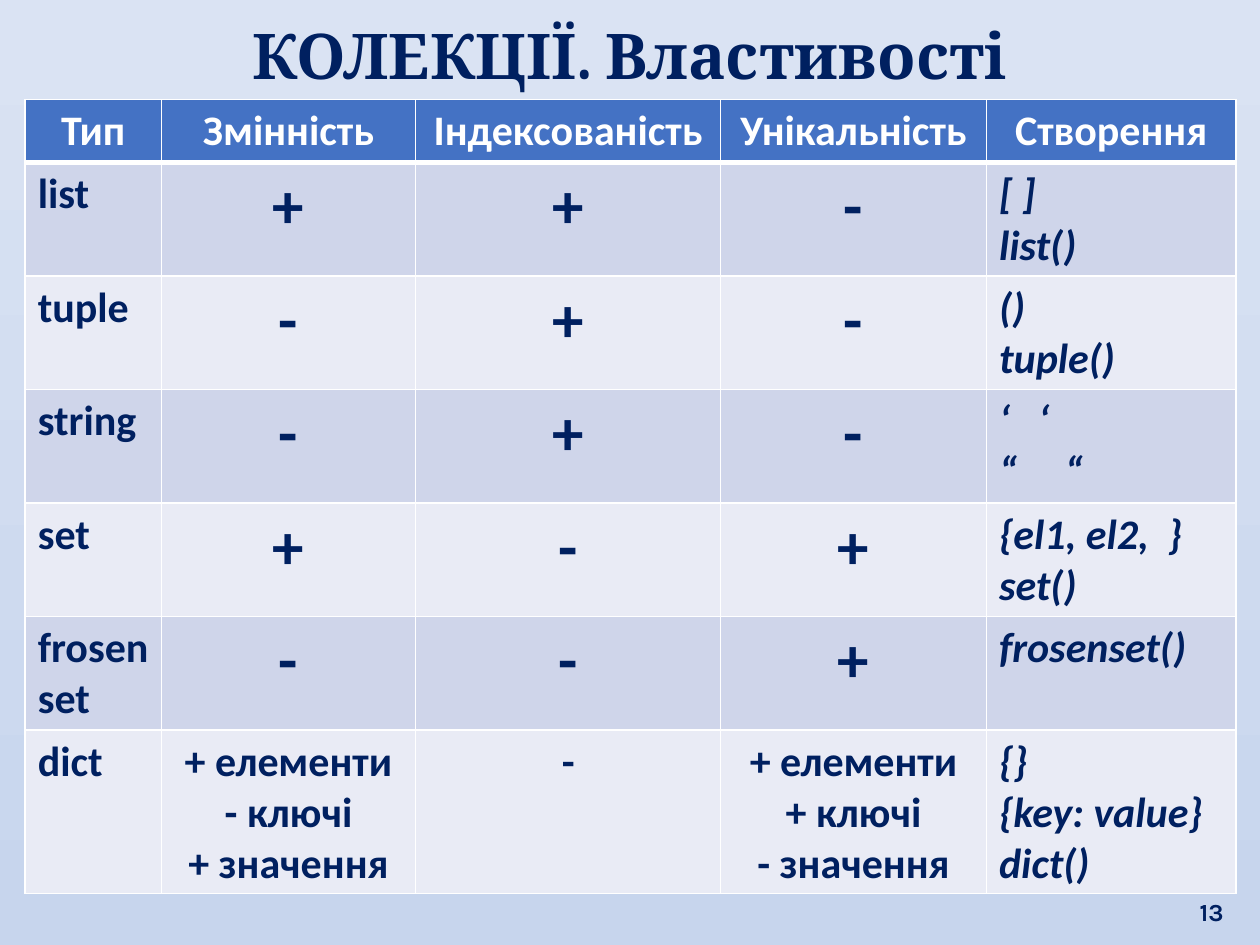
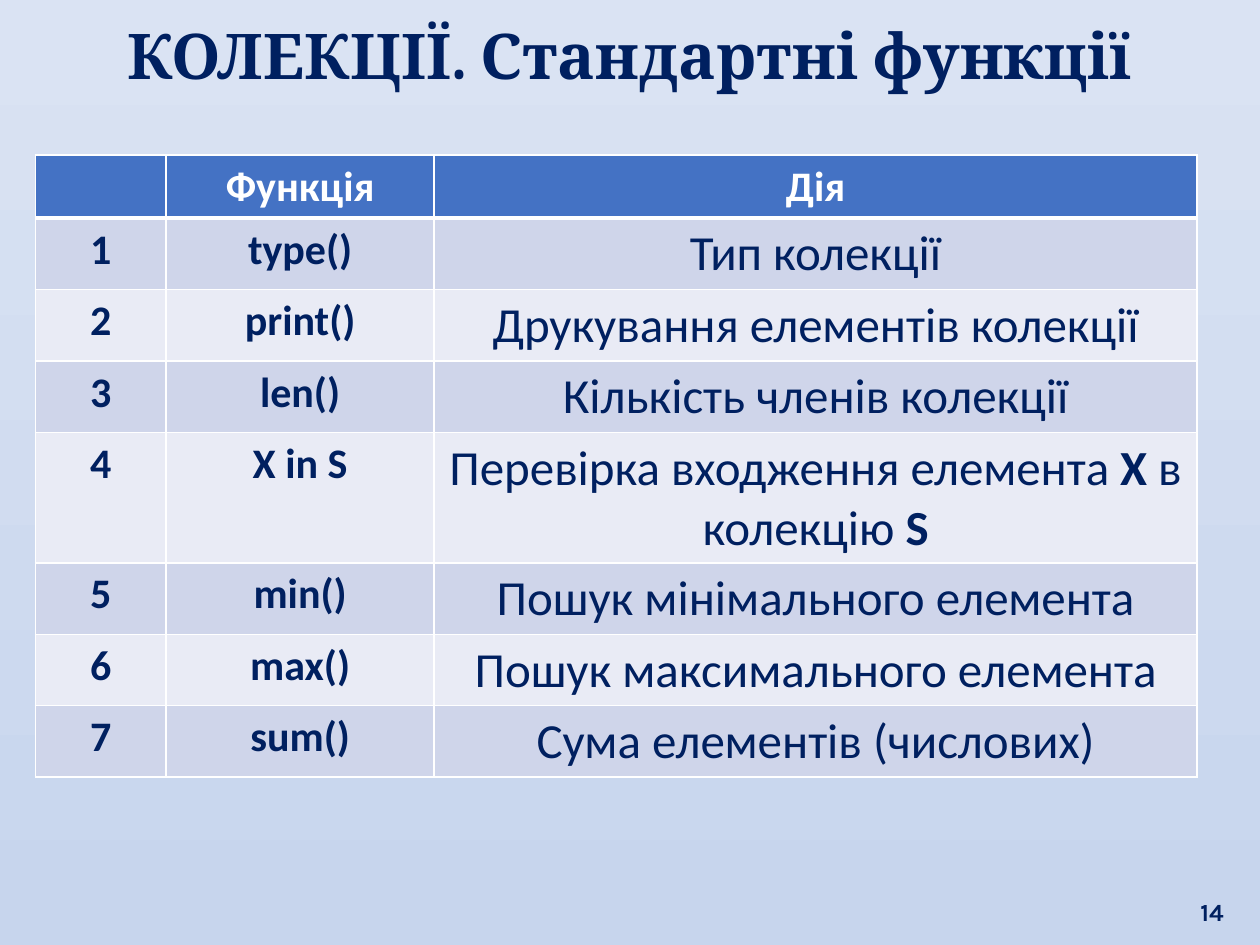
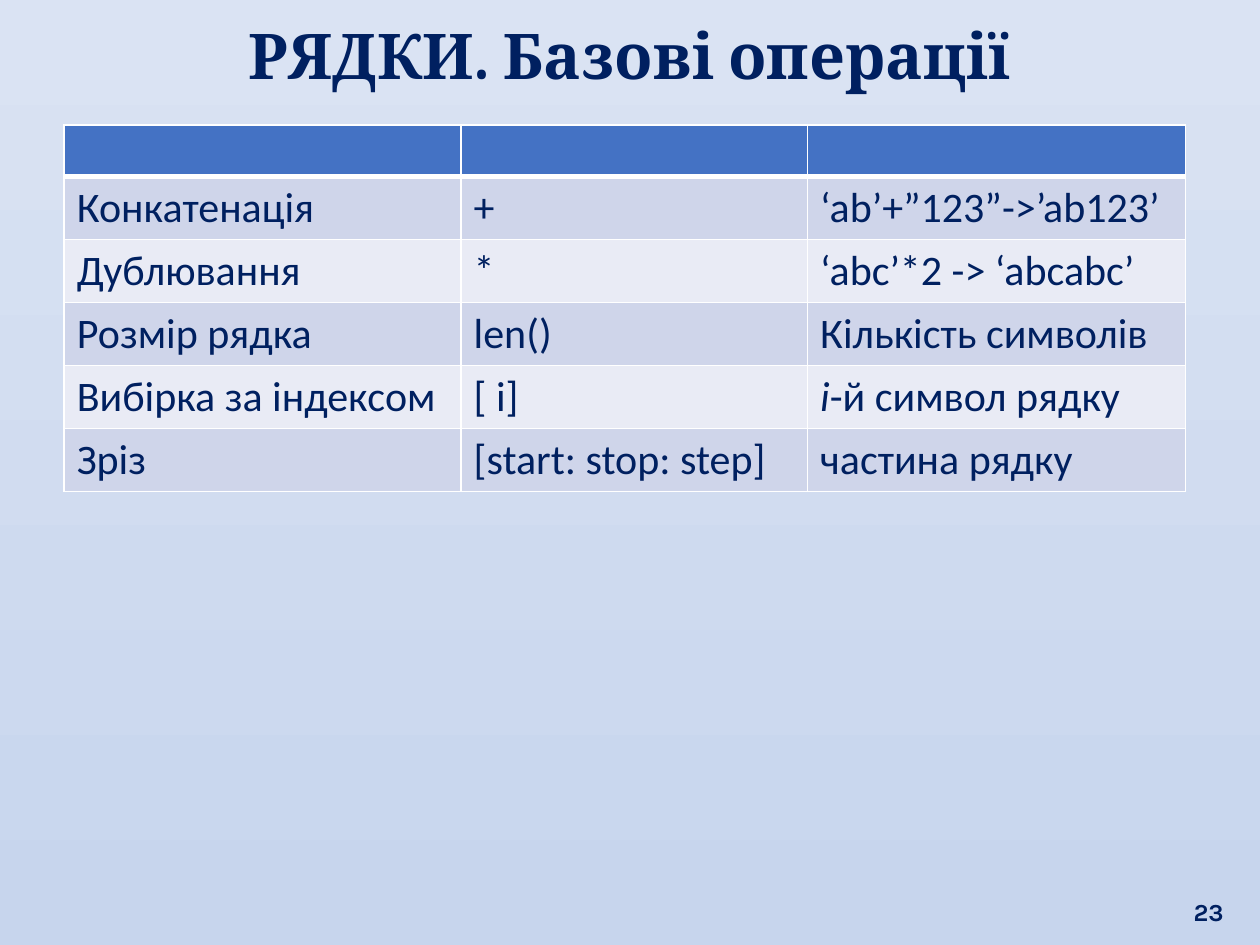
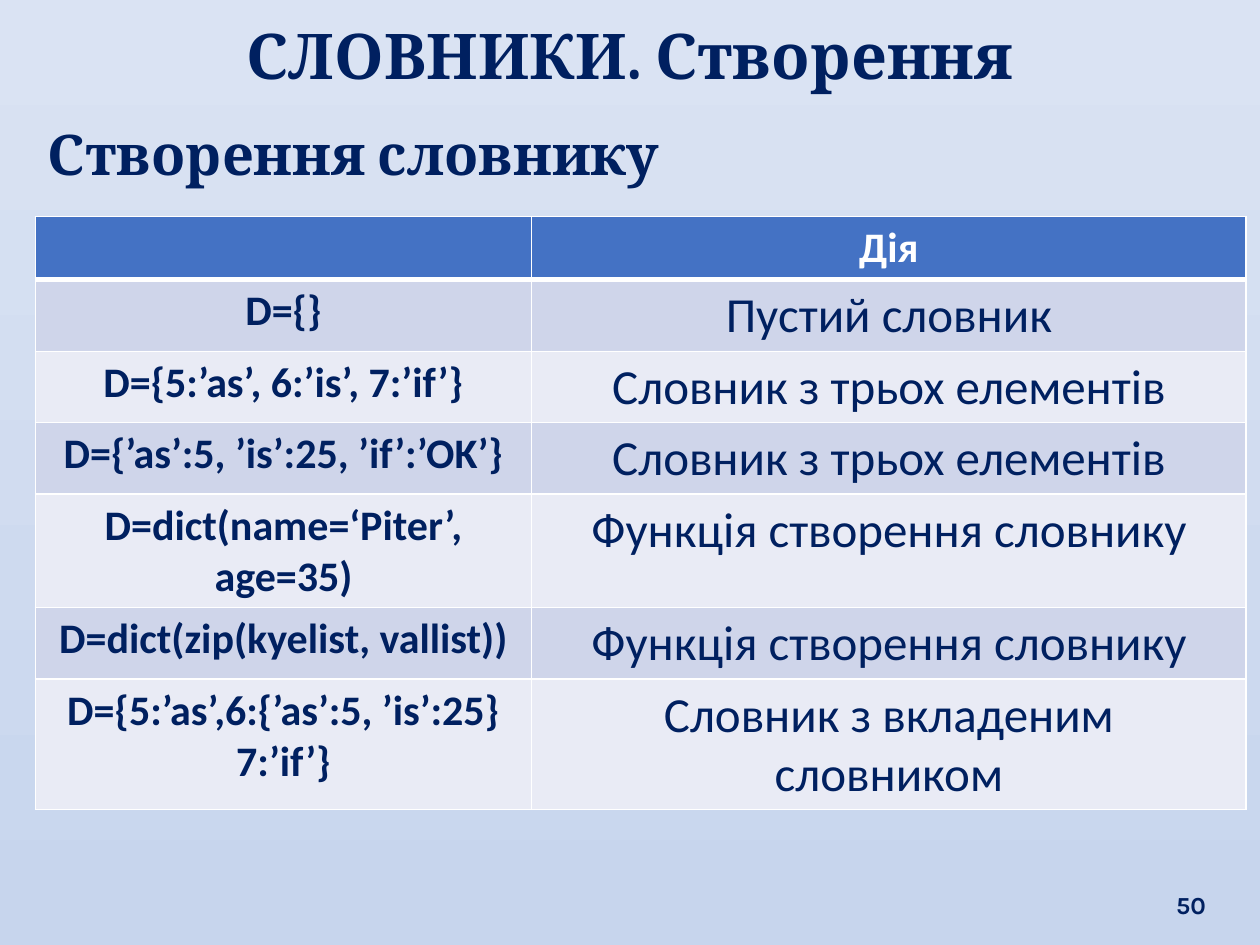
import collections

import pptx
import pptx.dml.color
import pptx.enum.text
import pptx.oxml
import pptx.oxml.ns
import pptx.util

RGBColor = pptx.dml.color.RGBColor
NAVY = RGBColor(0x00, 0x20, 0x60)
WHITE = RGBColor(0xFF, 0xFF, 0xFF)
HEADER = RGBColor(0x44, 0x72, 0xC4)
BANDS = (RGBColor(0xCF, 0xD5, 0xEA), RGBColor(0xE9, 0xEB, 0xF5))
SKY = (RGBColor(0xDA, 0xE3, 0xF3), RGBColor(0xC7, 0xD5, 0xED))

COLUMNS, ROWS = 100, 75
UNIT = pptx.util.Inches(0.1)
TITLE_BOX = (1.2, 0.8, 97.6, 7.1)
NUMBER_BOX = (93.3, 69, 4.8, 5)

LEFT = pptx.enum.text.PP_ALIGN.LEFT
CENTER = pptx.enum.text.PP_ALIGN.CENTER
RIGHT = pptx.enum.text.PP_ALIGN.RIGHT
TOP = pptx.enum.text.MSO_ANCHOR.TOP
BOTTOM = pptx.enum.text.MSO_ANCHOR.BOTTOM

Style = collections.namedtuple(
    "Style", "size bold italic align color font emphasis",
    defaults=(24, False, False, LEFT, NAVY, "Calibri", "bold"))
PLAIN = Style(emphasis="italic")
NAME = Style(bold=True)
CODE = Style(bold=True, italic=True)
CENTERED = Style(bold=True, align=CENTER)
SIGN = CENTERED._replace(size=36)
ACTION = Style(size=28, align=CENTER)
HEAD = CENTERED._replace(color=WHITE)
TITLE = Style(36, True, align=CENTER, font="Cambria")
SUBTITLE = Style(32, True, font="Cambria")
NUMBER = Style(14, True, align=RIGHT, font="Karla")


def grid(box):
    return [round(n * UNIT) for n in box]


def write(tf, text, style):
    """Lines become paragraphs; parts between bars are emphasised."""
    for i, line in enumerate(text.split("\n")):
        p = tf.paragraphs[0] if i == 0 else tf.add_paragraph()
        p.alignment = style.align
        p.font.size = pptx.util.Pt(style.size)
        p.font.name = style.font
        p.font.bold = style.bold
        p.font.italic = style.italic
        p.font.color.rgb = style.color
        for j, part in enumerate(line.split("|")):
            if part:
                r = p.add_run()
                r.text = part
                if j % 2:
                    setattr(r.font, style.emphasis, True)


def text_box(s, box, text, style, anchor=TOP):
    tf = s.shapes.add_textbox(*grid(box)).text_frame
    tf.word_wrap = True
    tf.vertical_anchor = anchor
    write(tf, text, style)
    return tf


def cell_borders(cell, widths):
    tcPr = cell._tc.get_or_add_tcPr()
    for i, (side, width) in enumerate(widths.items()):
        tcPr.insert(i, pptx.oxml.parse_xml(
            f'<a:{side} {pptx.oxml.ns.nsdecls("a")} w="{pptx.util.Pt(width)}">'
            f'<a:solidFill><a:srgbClr val="{WHITE}"/></a:solidFill></a:{side}>'))


def banded_table(s, box, columns, heights, rows, styles, row_styles=None):
    left, top, width, height = grid(box)
    row_styles = {0: [HEAD] * len(columns), **(row_styles or {})}
    table = s.shapes.add_table(len(rows), len(columns), left, top, width, height).table
    for column, share in zip(table.columns, columns):
        column.width = round(width * share / sum(columns))
    for row, share in zip(table.rows, heights):
        row.height = round(height * share / sum(heights))
    for i, texts in enumerate(rows):
        for j, style in enumerate(row_styles.get(i, styles)):
            cell = table.cell(i, j)
            cell.fill.solid()
            cell.fill.fore_color.rgb = BANDS[(i - 1) % 2] if i else HEADER
            cell_borders(cell, {"lnL": 1, "lnR": 1, "lnT": 3 if i == 1 else 1,
                                "lnB": 1 if i else 3})
            if texts[j]:
                write(cell.text_frame, texts[j], style)


def title_slide(prs, title, number, number_box=NUMBER_BOX):
    s = prs.slides.add_slide(prs.slide_layouts[5])
    sp = s.shapes.title
    sp.left, sp.top, sp.width, sp.height = grid(TITLE_BOX)
    tf = sp.text_frame
    tf.vertical_anchor = TOP
    tf.auto_size = pptx.enum.text.MSO_AUTO_SIZE.SHAPE_TO_FIT_TEXT
    write(tf, title, TITLE)
    text_box(s, number_box, number, NUMBER, BOTTOM)
    return s


def properties_slide(prs):
    s = title_slide(prs, "КОЛЕКЦІЇ. Властивості", "13")
    rows = [
        ("Тип", "Змінність", "Індексованість", "Унікальність", "Створення"),
        ("list", "+", "+", "-", "[ ]\nlist()"),
        ("tuple", "-", "+", "-", "()\ntuple()"),
        ("string", "-", "+", "-", "‘   ‘\n“     “"),
        ("set", "+", "-", "+", "{el1, el2,  }\nset()"),
        ("frosenset", "-", "-", "+", "frosenset()"),
        ("dict", "+ елементи\n- ключі\n+ значення", "-",
         "+ елементи\n+ ключі\n- значення", "{}\n{key: value}\ndict()"),
    ]
    banded_table(s, (2, 7.9, 96.1, 63), (1.08, 2.02, 2.42, 2.11, 1.98),
                 [5] + [9] * 5 + [13], rows, [NAME, SIGN, SIGN, SIGN, CODE],
                 {6: [NAME, CENTERED, CENTERED, CENTERED, CODE]})


def functions_slide(prs):
    s = title_slide(prs, "КОЛЕКЦІЇ. Стандартні функції", "14")
    functions = [
        ("type()", "Тип колекції"),
        ("print()", "Друкування елементів колекції"),
        ("len()", "Кількість членів колекції"),
        ("X in S", "Перевірка входження елемента |X| в колекцію |S|"),
        ("min()", "Пошук мінімального елемента"),
        ("max()", "Пошук максимального елемента"),
        ("sum()", "Сума елементів (числових)"),
    ]
    rows = [("", "Функція", "Дія")]
    rows += [(str(n), *function) for n, function in enumerate(functions, 1)]
    banded_table(s, (2.8, 12.3, 92.2, 49.3), (1.04, 2.13, 6.06),
                 [5] + [5.67] * 3 + [10.3] + [5.67] * 3, rows,
                 [CENTERED, CENTERED, ACTION])


def operations_slide(prs):
    s = title_slide(prs, "РЯДКИ. Базові операції", "23")
    rows = [
        ("", "", ""),
        ("Конкатенація", "+", "‘ab’+”123”->’ab123’"),
        ("Дублювання", "*", "‘abc’*2 -> ‘abcabc’"),
        ("Розмір рядка", "len()", "Кількість символів"),
        ("Вибірка за індексом", "[ i]", "|i|-й символ рядку"),
        ("Зріз", "[start: stop: step]", "частина рядку"),
    ]
    banded_table(s, (5.1, 9.9, 89, 29.1), (3.15, 2.75, 3), [4.1] + [5] * 5,
                 rows, [PLAIN] * 3)


def dictionaries_slide(prs):
    s = title_slide(prs, "СЛОВНИКИ. Створення", "50", (91.7, 68, 5, 5.5))
    tf = text_box(s, (2.8, 9.6, 95.2, 5.9), "Створення словнику", SUBTITLE)
    tf.auto_size = pptx.enum.text.MSO_AUTO_SIZE.SHAPE_TO_FIT_TEXT
    tf.paragraphs[0].line_spacing = 0.9
    tf.paragraphs[0].space_before = pptx.util.Pt(7.5)
    rows = [
        ("", "Дія"),
        ("D={}", "Пустий словник"),
        ("D={5:’as’, 6:’is’, 7:’if’}", "Словник з трьох елементів"),
        ("D={’as’:5, ’is’:25, ’if’:’OK’}", "Словник з трьох елементів"),
        ("D=dict(name=‘Piter’, age=35)", "Функція створення словнику"),
        ("D=dict(zip(kyelist, vallist))", "Функція створення словнику"),
        ("D={5:’as’,6:{’as’:5, ’is’:25} 7:’if’}", "Словник з вкладеним словником"),
    ]
    banded_table(s, (2.8, 17.2, 96.1, 47), (3.94, 5.67),
                 [5] + [5.67] * 3 + [9, 5.67, 10.3], rows, [CENTERED, ACTION])


def main():
    prs = pptx.Presentation()
    prs.slide_width, prs.slide_height = COLUMNS * UNIT, ROWS * UNIT
    fill = prs.slide_master.background.fill
    fill.gradient()
    fill.gradient_angle = 270
    for stop, color, position in zip(fill.gradient_stops, SKY, (0, 1)):
        stop.color.rgb = color
        stop.position = position
    properties_slide(prs)
    functions_slide(prs)
    operations_slide(prs)
    dictionaries_slide(prs)
    prs.save("out.pptx")


if __name__ == "__main__":
    main()
